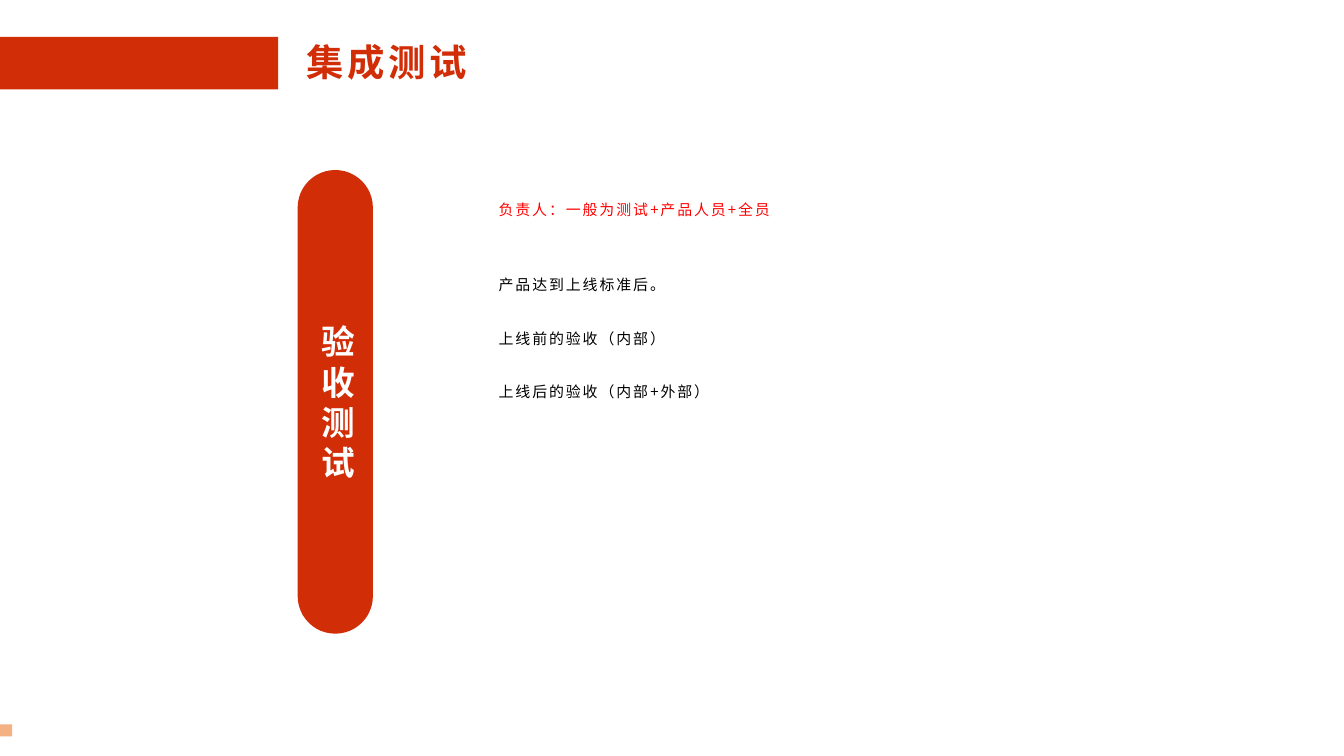
from pptx import Presentation
from pptx import util as u
from pptx.dml.color import RGBColor
from pptx.enum import shapes, text
from pptx.oxml.ns import qn
from lxml import etree

PX = 4572
FONT = "Noto Sans CJK SC"
COLORS = {"brand": "D12D07", "accent": "F4B183", "owner": "FF0000", "body": "000000", "white": "FFFFFF"}


def emu(box):
    """Turn a box in px into EMU."""
    return [u.Emu(length * PX) for length in box]


def style(paragraph, size, color, bold=False, spacing=0):
    """Format the runs of a paragraph for Latin and East Asian text."""
    for run in paragraph.runs:
        run.font.size = u.Pt(size)
        run.font.bold = bold
        run.font.name = FONT
        run.font.color.rgb = RGBColor.from_string(COLORS[color])
        properties = run.font._element
        properties.set("spc", str(spacing * 100))
        east_asian = etree.Element(qn("a:ea"), typeface=FONT)
        properties.find(qn("a:latin")).addnext(east_asian)


def add_block(slide, box, color, kind=shapes.MSO_SHAPE.RECTANGLE):
    """Add a plain filled shape."""
    block = slide.shapes.add_shape(kind, *emu(box))
    block.shadow.inherit = False
    block.fill.solid()
    block.fill.fore_color.rgb = RGBColor.from_string(COLORS[color])
    block.line.fill.background()
    return block


def add_header(slide, box):
    """Add the bar at the left edge and the title beside it."""
    left, top, width, height = box
    add_block(slide, (left, top + 7, 414, height - 10), "brand")
    title = slide.shapes.title
    title.left, title.top, title.width, title.height = emu((left + 436, top, width - 436, height))
    frame = title.text_frame
    frame.text = "集成测试"
    frame.vertical_anchor = text.MSO_ANCHOR.TOP
    frame.auto_size = text.MSO_AUTO_SIZE.NONE
    frame.paragraphs[0].alignment = text.PP_ALIGN.LEFT
    style(frame.paragraphs[0], 20, "brand", True, 2)


def add_stage(slide, box):
    """Add the upright pill that names the test stage."""
    pill = add_block(slide, box, "brand", shapes.MSO_SHAPE.ROUNDED_RECTANGLE)
    pill.adjustments[0] = 0.5
    frame = pill.text_frame
    frame.text = "验收测试"
    frame.word_wrap = True
    frame.vertical_anchor = text.MSO_ANCHOR.MIDDLE
    frame.paragraphs[0].alignment = text.PP_ALIGN.CENTER
    style(frame.paragraphs[0], 18, "white", True)


def add_lines(slide, box, lines, color, line_spacing=1.0, gap=0):
    """Add a text box without margins that holds evenly spaced lines."""
    frame = slide.shapes.add_textbox(*emu(box)).text_frame
    frame.word_wrap = True
    frame.margin_left = frame.margin_right = frame.margin_top = frame.margin_bottom = 0
    frame.text = "\n".join(lines)
    for index, paragraph in enumerate(frame.paragraphs):
        paragraph.line_spacing = line_spacing
        paragraph.space_before = u.Pt(gap if index else 0)
        style(paragraph, 8, color, spacing=1)


def add_details(slide, box):
    """Add the owner line and the acceptance steps below it."""
    left, top, width, height = box
    add_lines(slide, (left, top, width, 26), ["负责人：一般为测试+产品人员+全员"], "owner")
    steps = ["产品达到上线标准后。", "上线前的验收（内部）", "上线后的验收（内部+外部）"]
    add_lines(slide, (left, top + 98, 682, height - 98), steps, "body", 1.5, 14.3)


def main():
    """Build the slide and save it."""
    deck = Presentation()
    deck.slide_width, deck.slide_height = emu((2000, 1125))
    slide = deck.slides.add_slide(deck.slide_layouts[5])
    add_header(slide, (0, 48, 930, 88))
    add_stage(slide, (443, 253, 112, 690))
    add_block(slide, (0, 1078, 18, 18), "accent")
    add_details(slide, (742, 299, 960, 482))
    deck.save("out.pptx")


if __name__ == "__main__":
    main()
